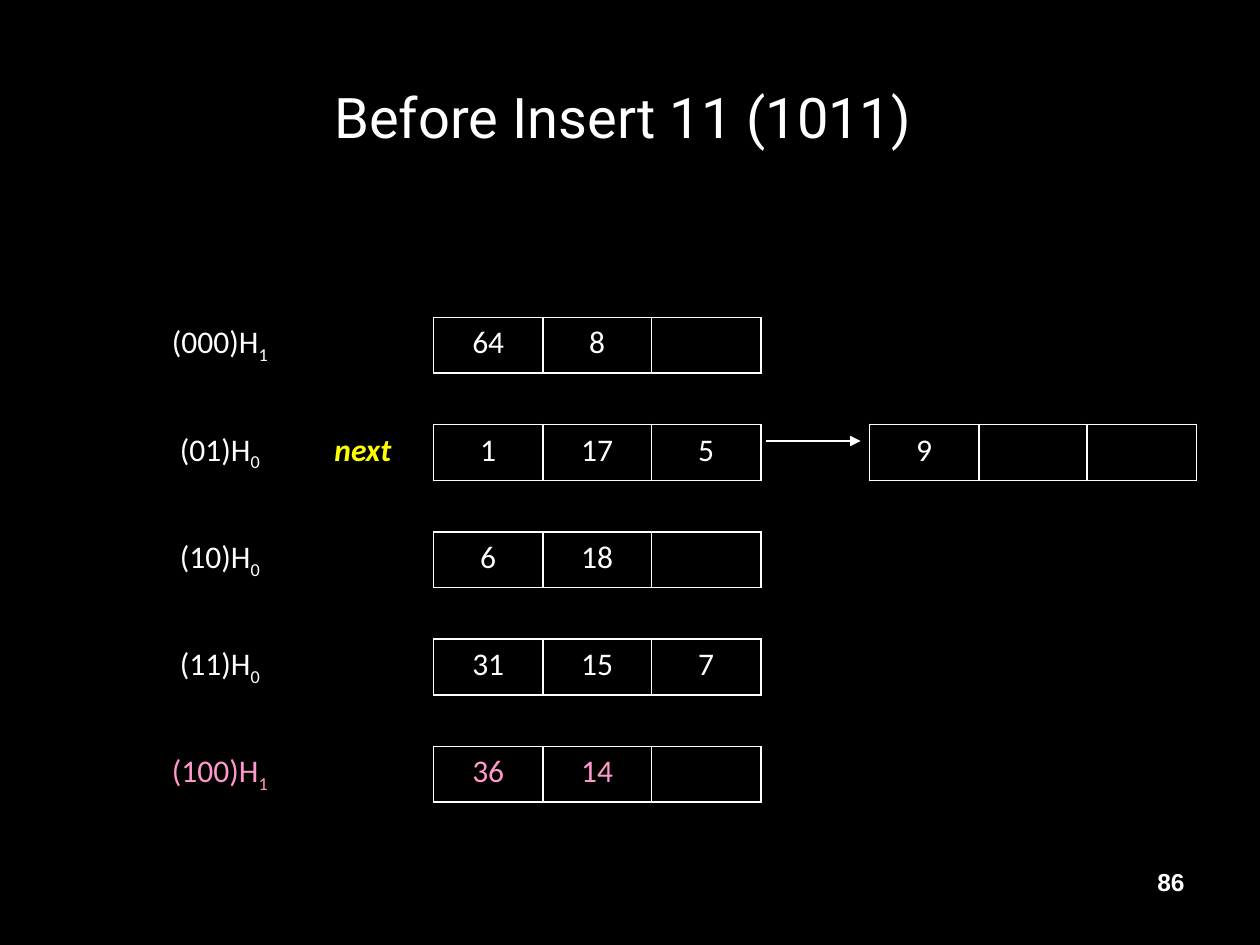
"""Build the linear hashing slide that shows the buckets before inserting 11."""
from dataclasses import dataclass

from lxml import etree
from pptx import Presentation
from pptx.dml.color import RGBColor
from pptx.enum import shapes, text
from pptx.oxml import ns
from pptx.util import Inches, Pt

WHITE, BLACK, YELLOW, PINK = "FFFFFF", "000000", "FFFF00", "FF99CC"
COL_WIDTHS = [1.15, 1.12] + [0.87, 0.86] * 3 + [0.87]
BUCKET_HEIGHT, GAP_HEIGHT = 0.44, 0.41
SLOTS, FIRST_SLOT, FIRST_OVERFLOW = 3, 2, 6
NO_STYLE = "{2D5ABB26-0587-4C30-8999-92F81FD0307C}"


@dataclass
class Bucket:
    """A hash bucket with its address, hash level and keys."""
    address: str
    level: str
    keys: tuple[str, ...]
    color: str = WHITE
    overflow: tuple[str, ...] = ()
    is_next: bool = False


BUCKETS = [
    Bucket("(000)H", "1", ("64", "8")),
    Bucket("(01)H", "0", ("1", "17", "5"), overflow=("9",), is_next=True),
    Bucket("(10)H", "0", ("6", "18")),
    Bucket("(11)H", "0", ("31", "15", "7")),
    Bucket("(100)H", "1", ("36", "14"), PINK),
]


def rgb(value: str) -> RGBColor:
    """Turn a hex string into a colour."""
    return RGBColor.from_string(value)


def add_run(p, words: str, color: str = WHITE, **values):
    """Append a formatted run to a paragraph."""
    r = p.add_run()
    r.text = words
    r.font.color.rgb = rgb(color)
    for name, value in ({"name": "Calibri", "size": Pt(18)} | values).items():
        setattr(r.font, name, value)
    return r


def write_cell(cell, words: str, color: str = WHITE, **values):
    """Write centred text in a cell and return its paragraph."""
    p = cell.text_frame.paragraphs[0]
    p.alignment = text.PP_ALIGN.CENTER
    add_run(p, words, color, **values)
    return p


def add_borders(cell) -> None:
    """Draw a thin white border on all sides of a cell."""
    tc_pr = cell._tc.get_or_add_tcPr()
    for i, side in enumerate(("lnL", "lnR", "lnT", "lnB")):
        ln = etree.Element(ns.qn(f"a:{side}"), w=str(Pt(1)))
        fill = etree.SubElement(ln, ns.qn("a:solidFill"))
        etree.SubElement(fill, ns.qn("a:srgbClr"), val=WHITE)
        tc_pr.insert(i, ln)


def draw_slots(table, row: int, first: int, keys: tuple[str, ...], color: str) -> None:
    """Draw the slots of one bucket page and fill in its keys."""
    for i in range(SLOTS):
        cell = table.cell(row, first + i)
        add_borders(cell)
        if i < len(keys):
            write_cell(cell, keys[i], color)


def draw_bucket(table, row: int, bucket: Bucket) -> None:
    """Draw one bucket with its label and any overflow page."""
    p = write_cell(table.cell(row, 0), bucket.address, bucket.color)
    r = add_run(p, bucket.level, bucket.color)
    r.font._element.set("baseline", "-25000")
    if bucket.is_next:
        write_cell(table.cell(row, 1), "next", YELLOW, bold=True, italic=True)
    draw_slots(table, row, FIRST_SLOT, bucket.keys, bucket.color)
    if bucket.overflow:
        draw_slots(table, row, FIRST_OVERFLOW, bucket.overflow, bucket.color)


def draw_table(s) -> None:
    """Draw the table of buckets, with a gap row around each bucket."""
    heights = [BUCKET_HEIGHT] + [BUCKET_HEIGHT, GAP_HEIGHT] * len(BUCKETS)
    frame = s.shapes.add_table(
        len(heights), len(COL_WIDTHS), Inches(1.17), Inches(2.08),
        Inches(sum(COL_WIDTHS)), Inches(sum(heights)))
    table = frame.table
    table.first_row = table.horz_banding = False
    table._tbl.tblPr.find(ns.qn("a:tableStyleId")).text = NO_STYLE
    for column, width in zip(table.columns, COL_WIDTHS):
        column.width = Inches(width)
    for row, height in zip(table.rows, heights):
        row.height = Inches(height)
    for cell in table.iter_cells():
        cell.fill.background()
    for i, bucket in enumerate(BUCKETS):
        draw_bucket(table, 2 * i + 1, bucket)


def draw_arrow(s) -> None:
    """Draw the arrow to the overflow page."""
    y = Inches(3.5)
    arrow = s.shapes.add_connector(
        shapes.MSO_CONNECTOR.STRAIGHT, Inches(6.08), y, Inches(6.83), y)
    arrow.line.color.rgb = rgb(WHITE)
    arrow.line.width = Pt(0.75)
    etree.SubElement(arrow.line._get_or_add_ln(), ns.qn("a:tailEnd"), type="triangle")
    etree.SubElement(arrow._element.spPr, ns.qn("a:effectLst"))


def draw_title(s) -> None:
    """Place and format the slide title."""
    sp = s.shapes.title
    box = {"left": 0.5, "top": 0.3, "width": 9, "height": 1.25}
    for name, value in box.items():
        setattr(sp, name, Inches(value))
    tf = sp.text_frame
    tf.vertical_anchor = text.MSO_ANCHOR.MIDDLE
    p = tf.paragraphs[0]
    p.alignment = text.PP_ALIGN.CENTER
    add_run(p, "Before Insert 11 (1011) ", name="Roboto", size=Pt(32))


def draw_page_number(s) -> None:
    """Write the page number at the bottom right."""
    sp = s.shapes.add_textbox(Inches(7.17), Inches(6.83), Inches(2.33), Inches(0.52))
    sp.text_frame.word_wrap = True
    p = sp.text_frame.paragraphs[0]
    p.alignment = text.PP_ALIGN.RIGHT
    add_run(p, "86", name="Arial", size=Pt(14), bold=True)


def main() -> None:
    """Build and save the presentation."""
    prs = Presentation()
    prs.slide_width, prs.slide_height = Inches(10), Inches(7.5)
    s = prs.slides.add_slide(prs.slide_layouts[5])
    s.background.fill.solid()
    s.background.fill.fore_color.rgb = rgb(BLACK)
    draw_page_number(s)
    draw_title(s)
    draw_table(s)
    draw_arrow(s)
    prs.save("out.pptx")


if __name__ == "__main__":
    main()
